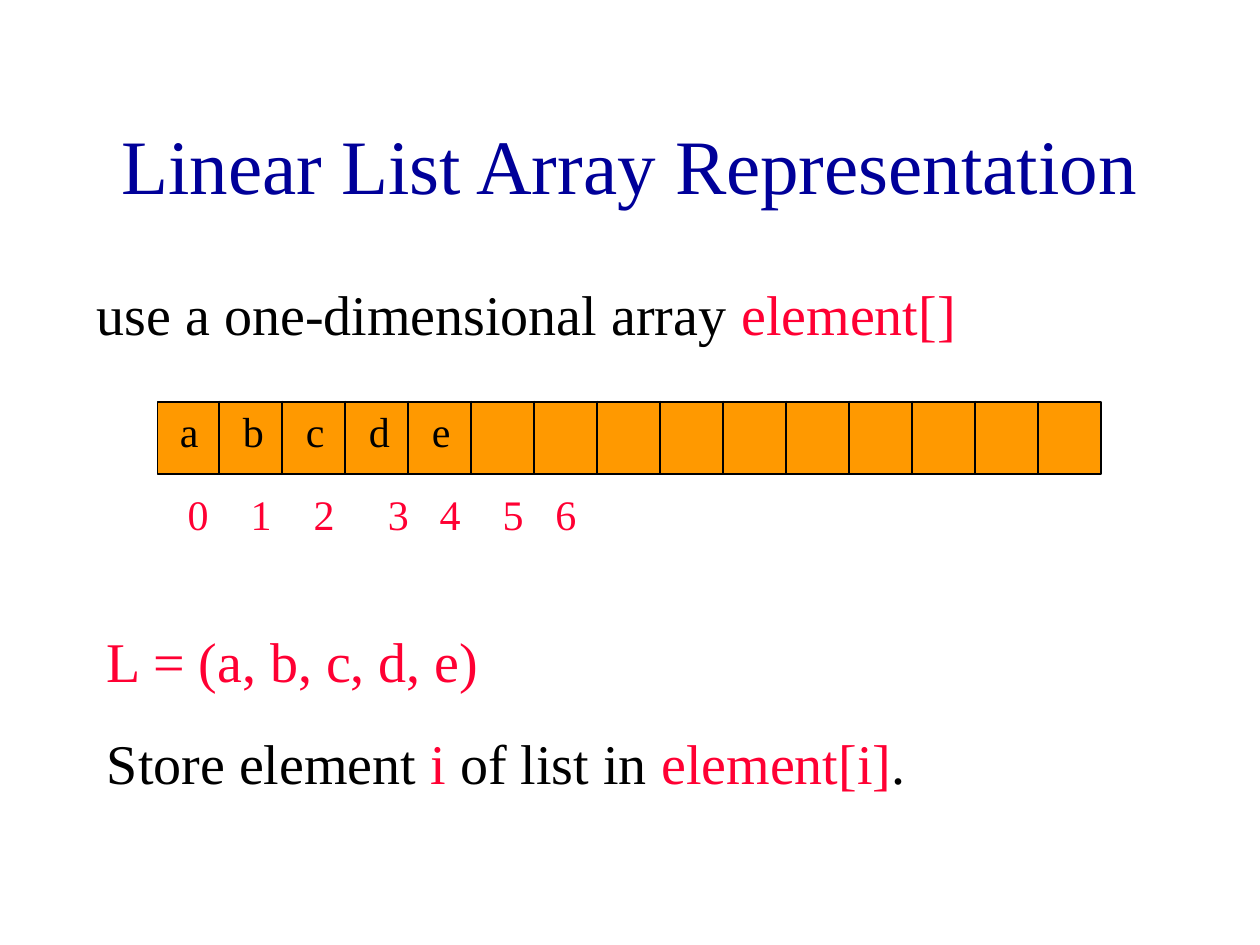
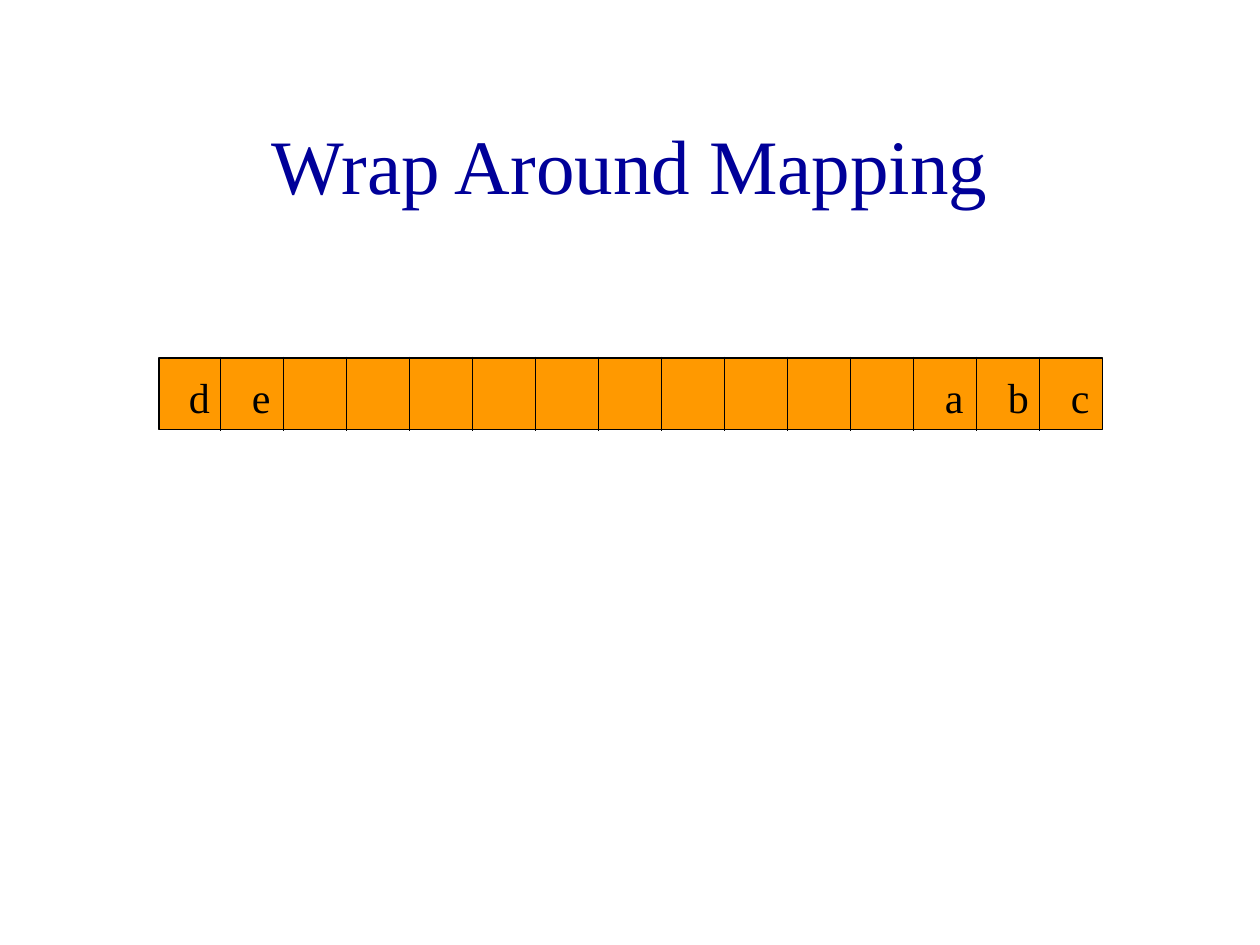
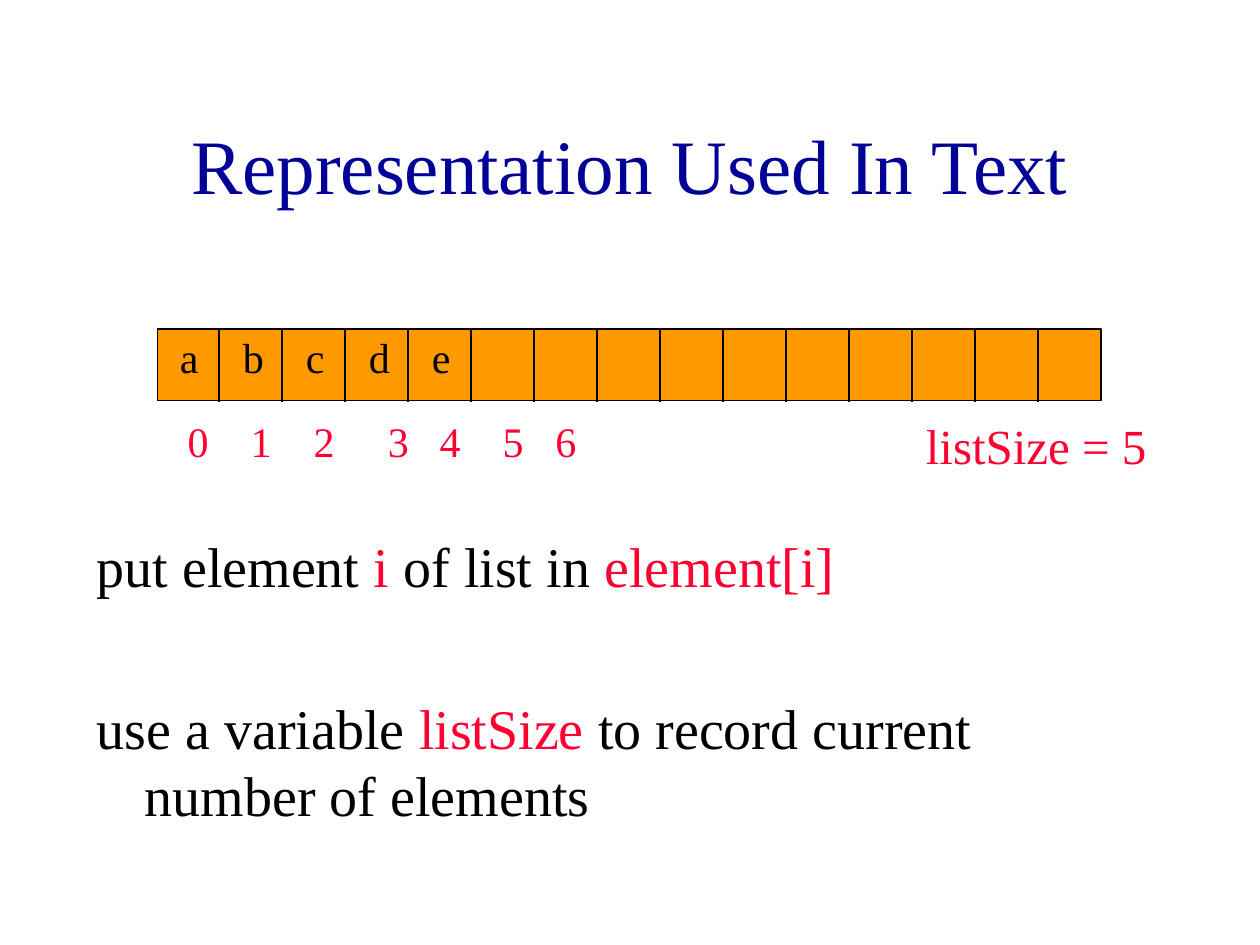
from lxml import etree
from pptx import Presentation
from pptx.dml.color import RGBColor
from pptx.enum import shapes, text
from pptx.oxml.ns import qn
from pptx.util import Inches, Pt

NAVY = RGBColor(0x00, 0x00, 0x99)
RED = RGBColor(0xFF, 0x00, 0x33)
BLACK = RGBColor(0x00, 0x00, 0x00)
ORANGE = RGBColor(0xFF, 0x99, 0x00)
FONT = "Times New Roman"

CELLS, STEP = 15, 0.5
BAR_W, BAR_H = 7.49, 0.57
HANG = 0.38
LIST = {i: c for i, c in enumerate("abcde")}
WRAPPED = {0: "d", 1: "e", 12: "a", 13: "b", 14: "c"}
INDICES = {i: str(i) for i in range(7)}
NUDGE = {3: 0.09, 6: -0.08}

# bar: left and top of the array; shift: offset of its letters
# texts: box, size, hanging indent, space between, paragraphs of (text, colour)
SLIDES = [
    dict(title="Linear List Array Representation",
         bar=(1.25, 3.19), letters=LIST, shift=(0.08, -0.02), indices=INDICES,
         texts=[
             ((0.67, 2.17, 8.5, 5.17), 32, HANG, 0, [
                 [("use a one-dimensional array ", BLACK), ("element[]", RED)]]),
             ((0.75, 4.92, 7.92, 1.45), 32, 0, 20, [
                 [("L = (a, b, c, d, e)", RED)],
                 [("Store element ", BLACK), ("i", RED), (" of list in ", BLACK),
                  ("element[i]", RED), (".", BLACK)]])]),
    dict(title="Wrap Around Mapping",
         bar=(1.26, 2.84), letters=WRAPPED, shift=(0.14, 0.06), indices={},
         texts=[]),
    dict(title="Representation Used In Text",
         bar=(1.25, 2.61), letters=LIST, shift=(0.08, -0.03), indices=INDICES,
         texts=[
             ((0.67, 4.17, 8.5, 2.58), 32, HANG, 54, [
                 [("put element ", BLACK), ("i", RED), (" of list in ", BLACK),
                  ("element[i]", RED)],
                 [("use a variable ", BLACK), ("listSize ", RED),
                  ("to record current number of elements", BLACK)]]),
             ((7.25, 3.25, 2.17, 0.57), 28, 0, 0, [[("listSize = 5", RED)]])]),
]


def write(slide, box, size, paras, hang=0, gap=0, wrap=True):
    """Add a text box of coloured runs and return its frame."""
    frame = slide.shapes.add_textbox(*map(Inches, box)).text_frame
    frame.word_wrap = wrap
    for i, runs in enumerate(paras):
        para = frame.add_paragraph() if i else frame.paragraphs[0]
        if i:
            para.space_before = Pt(gap)
        if hang:
            props = para._p.get_or_add_pPr()
            props.set("marL", str(Inches(hang)))
            props.set("indent", str(-Inches(hang)))
        para.font.name, para.font.size = FONT, Pt(size)
        for words, color in runs:
            run = para.add_run()
            run.text = words
            run.font.color.rgb = color
    return frame


def add_title(slide, words):
    frame = write(slide, (0.75, 0.67, 8.5, 1.25), 44, [[(words, NAVY)]])
    frame.vertical_anchor = text.MSO_ANCHOR.MIDDLE
    frame.paragraphs[0].alignment = text.PP_ALIGN.CENTER


def add_bar(slide, left, top):
    """Draw the array as a box split into cells."""
    bar = slide.shapes.add_shape(shapes.MSO_SHAPE.RECTANGLE, Inches(left),
                                 Inches(top), Inches(BAR_W), Inches(BAR_H))
    bar.shadow.inherit = False
    bar.fill.solid()
    bar.fill.fore_color.rgb = ORANGE
    lines = [bar.line]
    for i in range(1, CELLS):
        x = Inches(left + i * STEP - 0.01)
        wall = slide.shapes.add_connector(
            shapes.MSO_CONNECTOR.STRAIGHT, x, Inches(top - 0.01),
            x, Inches(top + BAR_H + 0.01))
        etree.SubElement(wall._element.spPr, qn("a:effectLst"))
        lines.append(wall.line)
    for line in lines:
        line.color.rgb = BLACK
        line.width = Pt(1)


def add_marks(slide, marks, left, top, color, nudge):
    """Write one short label per cell."""
    for i, mark in marks.items():
        x = left + i * STEP + nudge.get(i, 0)
        width = 0.35 if mark in "ace" else 0.37
        frame = write(slide, (x, top, width, 0.5), 24, [[(mark, color)]],
                      wrap=False)
        frame.auto_size = text.MSO_AUTO_SIZE.SHAPE_TO_FIT_TEXT


def main():
    deck = Presentation()
    deck.slide_width, deck.slide_height = Inches(10), Inches(7.5)
    for page in SLIDES:
        slide = deck.slides.add_slide(deck.slide_layouts[6])
        left, top = page["bar"]
        dx, dy = page["shift"]
        add_title(slide, page["title"])
        add_bar(slide, left, top)
        add_marks(slide, page["indices"], left + 0.14, top + 0.64, RED, NUDGE)
        add_marks(slide, page["letters"], left + dx, top + dy, BLACK, {})
        for box, size, hang, gap, paras in page["texts"]:
            write(slide, box, size, paras, hang, gap)
    deck.save("out.pptx")


if __name__ == "__main__":
    main()
